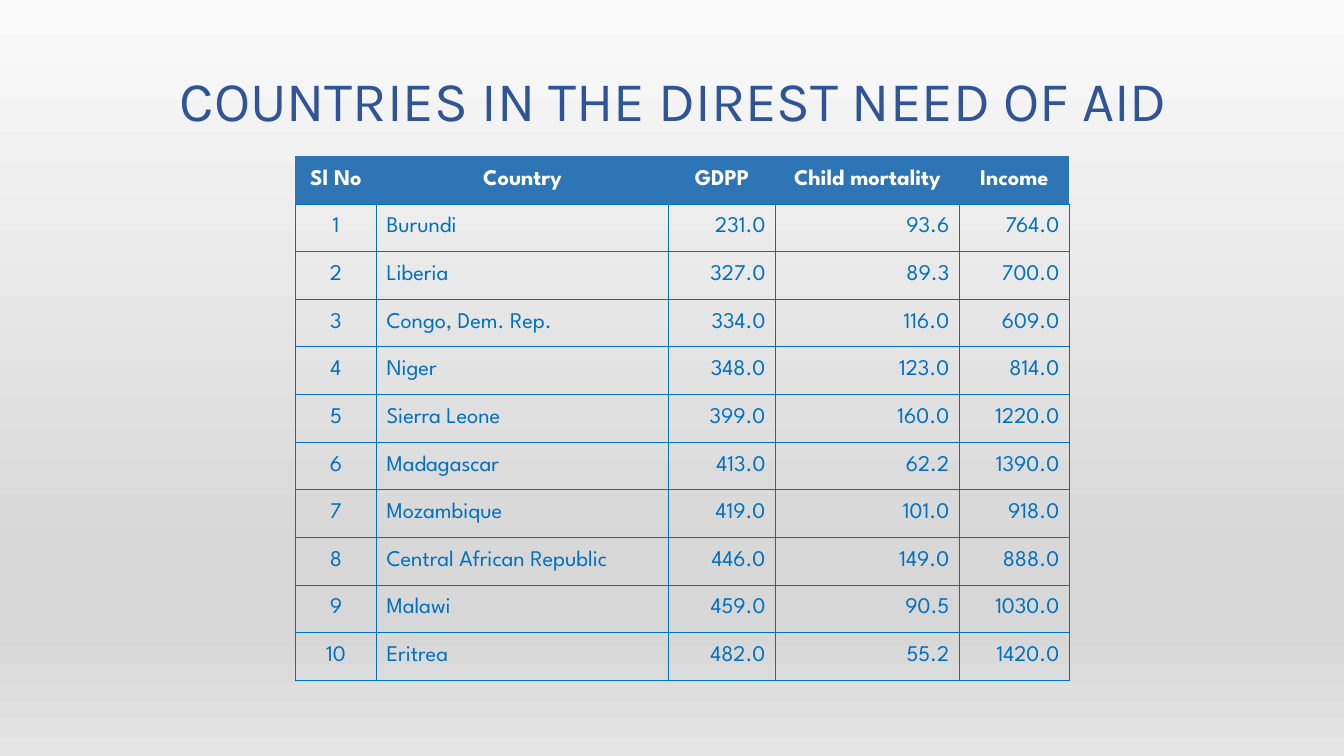
from typing import NamedTuple

from lxml import etree
from pptx import Presentation
from pptx.dml.color import RGBColor
from pptx.enum import shapes, text
from pptx.oxml import ns
from pptx.util import Pt

SLIDE_WIDTH, SLIDE_HEIGHT = 960, 540
TITLE_BLUE = RGBColor(0x2F, 0x55, 0x97)
HEADER_BLUE = RGBColor(0x2E, 0x75, 0xB6)
BODY_BLUE = RGBColor(0x00, 0x70, 0xC0)
WHITE = RGBColor(0xFF, 0xFF, 0xFF)
NO_TABLE_STYLE = "{2D5ABB26-0587-4C30-8999-92F81FD0307C}"
ROW_HEIGHT = 34.04
BORDER_WIDTH = 0.25
LEFT, CENTER, RIGHT = text.PP_ALIGN.LEFT, text.PP_ALIGN.CENTER, text.PP_ALIGN.RIGHT


class GradientStop(NamedTuple):
    percent: int
    color: RGBColor


class Column(NamedTuple):
    heading: str
    width: float
    alignment: text.PP_ALIGN


class Country(NamedTuple):
    name: str
    gdpp: float
    child_mortality: float
    income: float


BACKDROP_STOPS = [
    GradientStop(0, RGBColor(0xFA, 0xFA, 0xFA)),
    GradientStop(74, RGBColor(0xD7, 0xD7, 0xD7)),
    GradientStop(83, RGBColor(0xD7, 0xD7, 0xD7)),
    GradientStop(100, RGBColor(0xE4, 0xE4, 0xE4)),
]
COLUMNS = [
    Column("Sl No", 57.9, CENTER),
    Column("Country", 208.7, LEFT),
    Column("GDPP", 76.4, RIGHT),
    Column("Child mortality", 131.3, RIGHT),
    Column("Income", 78.6, RIGHT),
]
COUNTRIES = [
    Country("Burundi", 231.0, 93.6, 764.0),
    Country("Liberia", 327.0, 89.3, 700.0),
    Country("Congo, Dem. Rep.", 334.0, 116.0, 609.0),
    Country("Niger", 348.0, 123.0, 814.0),
    Country("Sierra Leone", 399.0, 160.0, 1220.0),
    Country("Madagascar", 413.0, 62.2, 1390.0),
    Country("Mozambique", 419.0, 101.0, 918.0),
    Country("Central African Republic", 446.0, 149.0, 888.0),
    Country("Malawi", 459.0, 90.5, 1030.0),
    Country("Eritrea", 482.0, 55.2, 1420.0),
]


def add_backdrop(slide) -> None:
    """Cover the slide with a vertical grey gradient."""
    shape = slide.shapes.add_shape(
        shapes.MSO_SHAPE.RECTANGLE, 0, 0, Pt(SLIDE_WIDTH), Pt(SLIDE_HEIGHT))
    shape.shadow.inherit = False
    shape.line.fill.background()
    shape.fill.gradient()
    shape.fill.gradient_angle = 270
    stop_list = shape._element.spPr.find(".//" + ns.qn("a:gsLst"))
    for child in list(stop_list):
        stop_list.remove(child)
    for stop in BACKDROP_STOPS:
        element = etree.SubElement(stop_list, ns.qn("a:gs"), pos=str(stop.percent * 1000))
        etree.SubElement(element, ns.qn("a:srgbClr"), val=str(stop.color))


def add_run(paragraph, content: str, font_name: str, size: float,
            color: RGBColor, bold: bool = False) -> None:
    run = paragraph.add_run()
    run.text = content
    run.font.name = font_name
    run.font.size = Pt(size)
    run.font.bold = bold
    run.font.color.rgb = color


def add_title(slide, content: str) -> None:
    frame = slide.shapes.add_textbox(Pt(57), Pt(21.6), Pt(848), Pt(104.4)).text_frame
    frame.word_wrap = True
    frame.vertical_anchor = text.MSO_ANCHOR.MIDDLE
    paragraph = frame.paragraphs[0]
    paragraph.alignment = CENTER
    paragraph.line_spacing = 0.9
    add_run(paragraph, content, "Karla", 40, TITLE_BLUE)


def set_borders(cell) -> None:
    properties = cell._tc.get_or_add_tcPr()
    for index, side in enumerate(("a:lnL", "a:lnR", "a:lnT", "a:lnB")):
        line = etree.Element(ns.qn(side), w=str(Pt(BORDER_WIDTH)))
        fill = etree.SubElement(line, ns.qn("a:solidFill"))
        etree.SubElement(fill, ns.qn("a:srgbClr"), val=str(BODY_BLUE))
        properties.insert(index, line)


def fill_cell(cell, content: str, alignment: text.PP_ALIGN, is_header: bool) -> None:
    cell.vertical_anchor = text.MSO_ANCHOR.MIDDLE
    if is_header:
        cell.fill.solid()
        cell.fill.fore_color.rgb = HEADER_BLUE
    else:
        cell.fill.background()
        set_borders(cell)
    paragraph = cell.text_frame.paragraphs[0]
    paragraph.alignment = CENTER if is_header else alignment
    add_run(paragraph, content, "League Spartan", 16,
            WHITE if is_header else BODY_BLUE, is_header)


def add_country_table(slide) -> None:
    rows = [[column.heading for column in COLUMNS]]
    rows += [[str(value) for value in (number, *country)]
             for number, country in enumerate(COUNTRIES, 1)]
    frame = slide.shapes.add_table(
        len(rows), len(COLUMNS), Pt(211), Pt(111.5),
        Pt(sum(column.width for column in COLUMNS)), Pt(ROW_HEIGHT * len(rows)))
    table = frame.table
    table.horz_banding = False
    table._tbl.tblPr.find(ns.qn("a:tableStyleId")).text = NO_TABLE_STYLE
    for index, column in enumerate(COLUMNS):
        table.columns[index].width = Pt(column.width)
    for row_index, values in enumerate(rows):
        table.rows[row_index].height = Pt(ROW_HEIGHT)
        for column_index, value in enumerate(values):
            fill_cell(table.cell(row_index, column_index), value,
                      COLUMNS[column_index].alignment, row_index == 0)


def main() -> None:
    presentation = Presentation()
    presentation.slide_width = Pt(SLIDE_WIDTH)
    presentation.slide_height = Pt(SLIDE_HEIGHT)
    slide = presentation.slides.add_slide(presentation.slide_layouts[6])
    add_backdrop(slide)
    add_title(slide, "COUNTRIES IN THE DIREST NEED OF AID")
    add_country_table(slide)
    presentation.save("out.pptx")


if __name__ == "__main__":
    main()
